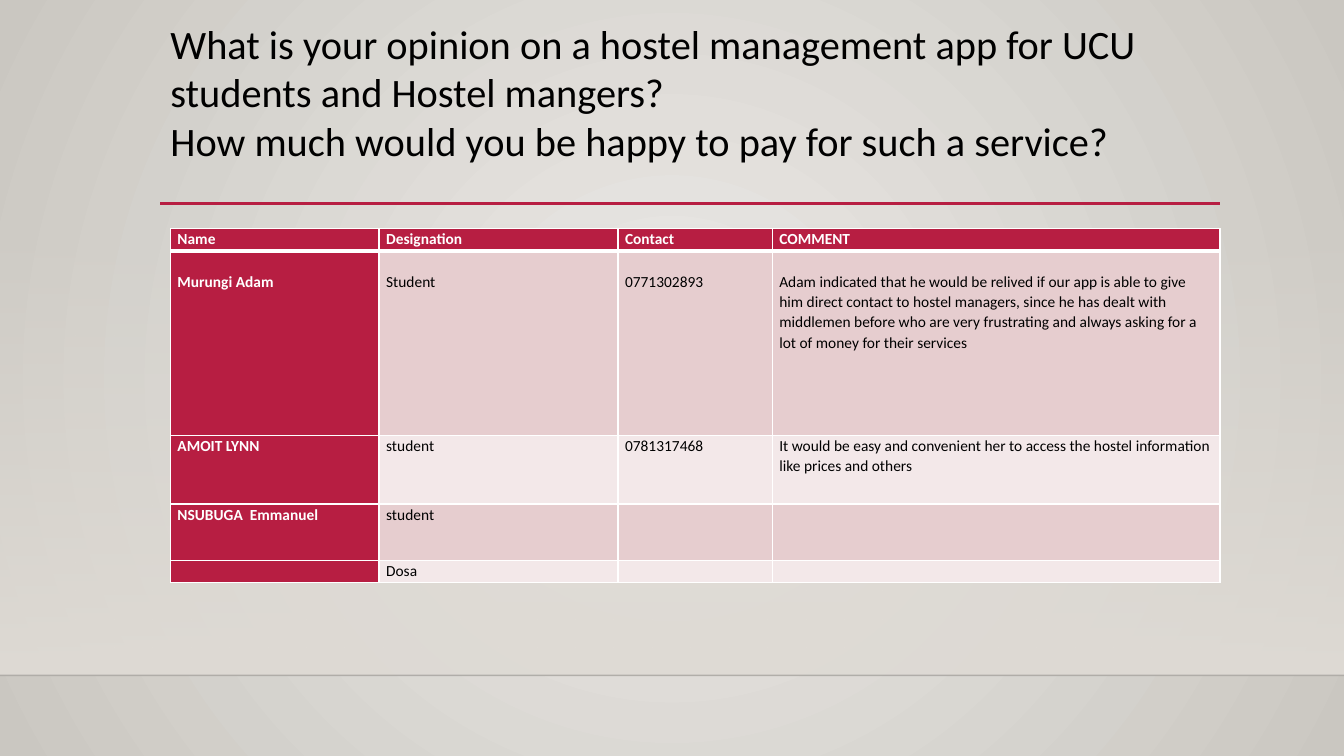
from dataclasses import dataclass

from lxml.etree import SubElement
from pptx import Presentation
from pptx.dml.color import RGBColor
from pptx.enum.shapes import MSO_CONNECTOR as Connector, MSO_SHAPE as Shape
from pptx.enum.text import MSO_ANCHOR as Anchor, MSO_AUTO_SIZE as AutoSize, PP_ALIGN as Align
from pptx.oxml.ns import qn
from pptx.util import Inches, Pt


@dataclass(frozen=True)
class Theme:
    font: str = "Calibri"
    title_size: float = 28.8
    table_size: float = 11
    black: str = "000000"
    white: str = "FFFFFF"
    crimson: str = "B71E42"
    dark_band: str = "E6CDCF"
    light_band: str = "F3E8E9"
    glow: str = "ECEAE7"
    edge: str = "CAC7C1"
    floor: str = "DFDBD5"


@dataclass(frozen=True)
class Rule:
    left: float
    right: float
    top: float
    color: str
    weight: float
    opacity: int = 100


@dataclass(frozen=True)
class Response:
    height: float
    texts: tuple[str, str, str, str]
    top_margin: float = 0


THEME = Theme()
WIDTH, HEIGHT = 13.33, 7.5
COLUMN_WIDTHS = (2.07, 2.37, 1.53, 4.44)
TITLE_LINES = (
    "What is your opinion on a hostel management app for UCU students and Hostel mangers?",
    "How much would you be happy to pay for such a service?",
)
RULES = (
    Rule(0, WIDTH, 6.7, THEME.black, 1, 20),
    Rule(1.59, 12.1, 2.02, THEME.crimson, 2.5),
)
RESPONSES = (
    Response(0.22, ("Name", "Designation", "Contact", "COMMENT")),
    Response(1.83, (
        "Murungi Adam", "Student", "0771302893",
        "Adam indicated that he would be relived if our app is able to give him direct "
        "contact to hostel managers, since he has dealt with middlemen before who are very "
        "frustrating and always asking for a lot of money for their services",
    ), 0.2),
    Response(0.68, (
        "AMOIT LYNN", "student", "0781317468",
        "It would be easy and convenient her to access the hostel information like prices and others",
    )),
    Response(0.56, ("NSUBUGA  Emmanuel", "student", "", "")),
    Response(0.22, ("", "Dosa", "", "")),
)


def rgb(color: str) -> RGBColor:
    return RGBColor.from_string(color)


def set_opacity(color_element, percent: int) -> None:
    SubElement(color_element, qn("a:alpha"), val=str(percent * 1000))


def set_gradient(fill, start: str, end: str) -> None:
    fill.gradient()
    for stop, color, position in zip(fill.gradient_stops, (start, end), (0, 1)):
        stop.color.rgb = rgb(color)
        stop.position = position


def add_run(paragraph, text: str, size: float, color: str, bold: bool = False) -> None:
    run = paragraph.add_run()
    run.text = text
    run.font.name = THEME.font
    run.font.size = Pt(size)
    run.font.bold = bold
    run.font.color.rgb = rgb(color)


def paint_background(slide) -> None:
    set_gradient(slide.background.fill, THEME.glow, THEME.edge)
    gradient = next(slide.element.iter(qn("a:gradFill")))
    for linear in gradient.findall(qn("a:lin")):
        gradient.remove(linear)
    circle = SubElement(gradient, qn("a:path"), path="circle")
    SubElement(circle, qn("a:fillToRect"), l="50000", t="50000", r="50000", b="50000")


def add_floor(slide) -> None:
    floor = slide.shapes.add_shape(
        Shape.RECTANGLE, Inches(0), Inches(2.21), Inches(WIDTH), Inches(4.49))
    floor.shadow.inherit = False
    floor.line.fill.background()
    set_gradient(floor.fill, THEME.floor, THEME.floor)
    floor.fill.gradient_angle = 270
    set_opacity(next(floor.element.spPr.iter(qn("a:srgbClr"))), 0)


def add_rule(slide, rule: Rule) -> None:
    line = slide.shapes.add_connector(
        Connector.STRAIGHT, Inches(rule.left), Inches(rule.top),
        Inches(rule.right), Inches(rule.top))
    line.line.color.rgb = rgb(rule.color)
    line.line.width = Pt(rule.weight)
    properties = line.element.spPr
    if rule.opacity < 100:
        set_opacity(next(properties.iter(qn("a:srgbClr"))), rule.opacity)
    SubElement(properties, qn("a:effectLst"))


def fill_title(slide) -> None:
    title = slide.shapes.title
    title.left, title.top = Inches(1.59), Inches(0.14)
    title.width, title.height = Inches(10.5), Inches(1.81)
    frame = title.text_frame
    frame.word_wrap = True
    frame.auto_size = AutoSize.NONE
    frame.vertical_anchor = Anchor.TOP
    paragraph = frame.paragraphs[0]
    paragraph.alignment = Align.LEFT
    for index, text in enumerate(TITLE_LINES):
        if index:
            paragraph.add_line_break()
        add_run(paragraph, text, THEME.title_size, THEME.black)


def add_borders(cell, top: float, bottom: float) -> None:
    properties = cell._tc.get_or_add_tcPr()
    for side, weight in (("L", 1), ("R", 1), ("T", top), ("B", bottom)):
        border = SubElement(properties, qn(f"a:ln{side}"), w=str(Pt(weight)))
        SubElement(SubElement(border, qn("a:solidFill")), qn("a:srgbClr"), val=THEME.white)


def fill_cell(cell, response: Response, row: int, column: int) -> None:
    emphasized = row == 0 or column == 0
    band = THEME.dark_band if row % 2 else THEME.light_band
    add_borders(cell, 3 if row == 1 else 1, 3 if row == 0 else 1)
    cell.fill.solid()
    cell.fill.fore_color.rgb = rgb(THEME.crimson if emphasized else band)
    cell.margin_left = cell.margin_right = Inches(0.07)
    cell.margin_top, cell.margin_bottom = Inches(response.top_margin), Inches(0)
    paragraph = cell.text_frame.paragraphs[0]
    paragraph.line_spacing = 1.07
    text = response.texts[column]
    if text:
        color = THEME.white if emphasized else THEME.black
        add_run(paragraph, text, THEME.table_size, color, emphasized)
    else:
        SubElement(paragraph._p, qn("a:endParaRPr"), sz=str(int(THEME.table_size * 100)))


def add_responses(slide) -> None:
    frame = slide.shapes.add_table(
        len(RESPONSES), len(COLUMN_WIDTHS), Inches(1.69), Inches(2.27),
        Inches(sum(COLUMN_WIDTHS)), Inches(sum(response.height for response in RESPONSES)))
    table = frame.table
    table.first_row = table.horz_banding = False
    for column, width in zip(table.columns, COLUMN_WIDTHS):
        column.width = Inches(width)
    for row, response in enumerate(RESPONSES):
        table.rows[row].height = Inches(response.height)
        for column in range(len(COLUMN_WIDTHS)):
            fill_cell(table.cell(row, column), response, row, column)


def main() -> None:
    presentation = Presentation()
    presentation.slide_width, presentation.slide_height = Inches(WIDTH), Inches(HEIGHT)
    slide = presentation.slides.add_slide(presentation.slide_layouts[5])
    paint_background(slide)
    add_floor(slide)
    for rule in RULES:
        add_rule(slide, rule)
    fill_title(slide)
    add_responses(slide)
    presentation.save("out.pptx")


main()
